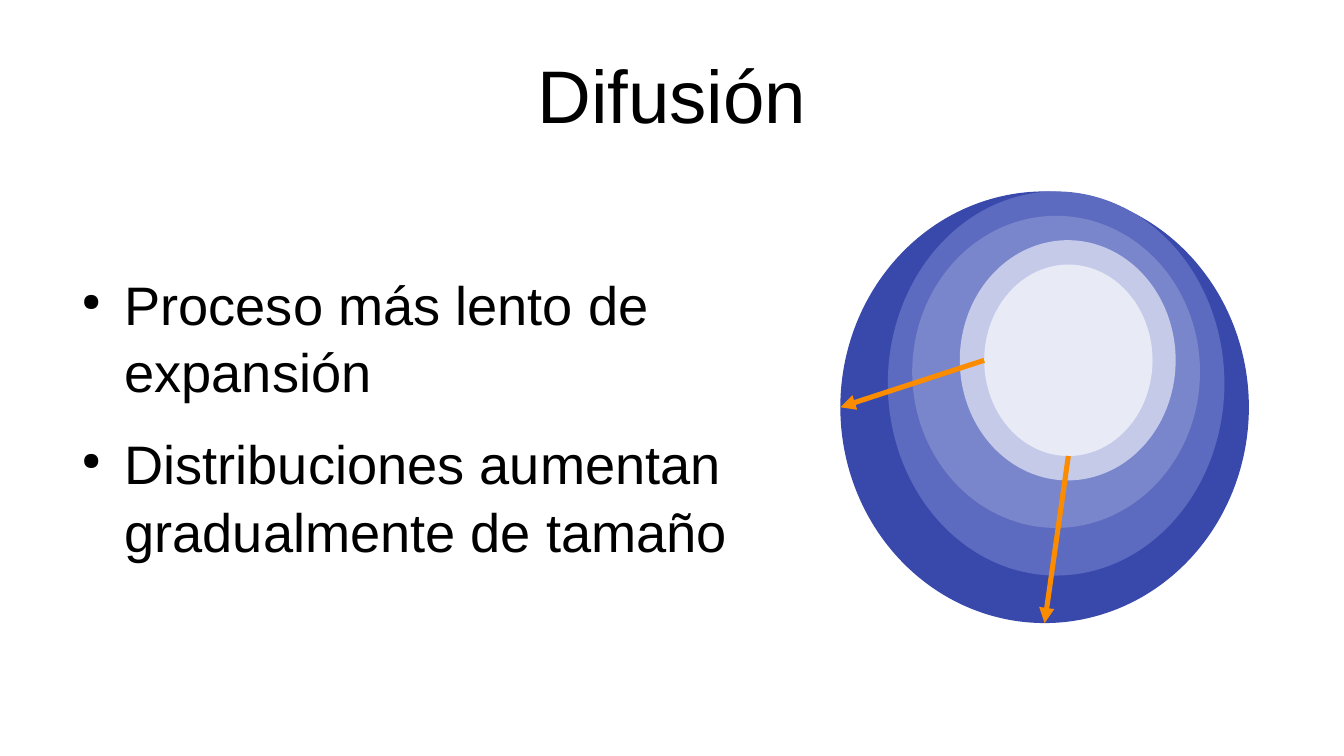
from typing import NamedTuple

from lxml.etree import SubElement
from pptx import Presentation
from pptx.dml.color import RGBColor
from pptx.enum.shapes import MSO_CONNECTOR, MSO_SHAPE
from pptx.enum.text import MSO_ANCHOR, PP_ALIGN
from pptx.oxml.ns import qn
from pptx.util import Inches, Pt

FONT = "Arial"
BLACK = RGBColor(0x00, 0x00, 0x00)
ORANGE = RGBColor(0xFB, 0x8C, 0x00)
INDIGO_600 = RGBColor(0x39, 0x49, 0xAB)
INDIGO_400 = RGBColor(0x5C, 0x6B, 0xC0)
INDIGO_300 = RGBColor(0x79, 0x86, 0xCB)
INDIGO_100 = RGBColor(0xC5, 0xCA, 0xE9)
INDIGO_50 = RGBColor(0xE8, 0xEA, 0xF6)


class Ring(NamedTuple):
    left: float
    top: float
    width: float
    height: float
    color: RGBColor


class Arrow(NamedTuple):
    x1: float
    y1: float
    x2: float
    y2: float


BULLETS = [
    "Proceso más lento de expansión",
    "Distribuciones aumentan gradualmente de tamaño",
]
RINGS = [
    Ring(6.89, 1.57, 3.35, 3.54, INDIGO_600),
    Ring(7.28, 1.57, 2.76, 3.15, INDIGO_400),
    Ring(7.48, 1.77, 2.36, 2.56, INDIGO_300),
    Ring(7.87, 1.97, 1.77, 1.97, INDIGO_100),
    Ring(8.07, 2.17, 1.38, 1.57, INDIGO_50),
]


def left_point(ring: Ring) -> tuple[float, float]:
    return ring.left, ring.top + ring.height / 2


def bottom_point(ring: Ring) -> tuple[float, float]:
    return ring.left + ring.width / 2, ring.top + ring.height


def clear_margins(tf) -> None:
    tf.margin_left = tf.margin_right = tf.margin_top = tf.margin_bottom = 0
    tf.word_wrap = True


def format_runs(p, size: float) -> None:
    for r in p.runs:
        r.font.name = FONT
        r.font.size = Pt(size)
        r.font.color.rgb = BLACK


def add_title(slide, text: str) -> None:
    sp = slide.shapes.title
    sp.left, sp.top = Inches(0.55), Inches(0.25)
    sp.width, sp.height = Inches(9.92), Inches(1.04)
    tf = sp.text_frame
    clear_margins(tf)
    tf.vertical_anchor = MSO_ANCHOR.MIDDLE
    tf.text = text
    p = tf.paragraphs[0]
    p.alignment = PP_ALIGN.CENTER
    format_runs(p, 44)


def add_bullets(slide, items: list[str]) -> None:
    sp = slide.shapes.add_textbox(Inches(0.55), Inches(2.2), Inches(5.55), Inches(2.85))
    tf = sp.text_frame
    clear_margins(tf)
    for i, item in enumerate(items):
        p = tf.add_paragraph() if i else tf.paragraphs[0]
        p.text = item
        p.line_spacing = 1.04
        if i:
            p.space_before = Pt(14.2)
        p_pr = p._p.get_or_add_pPr()
        p_pr.set("marL", str(Inches(0.47)))
        p_pr.set("indent", str(Inches(-0.35)))
        SubElement(p_pr, qn("a:buSzPct")).set("val", "45000")
        SubElement(p_pr, qn("a:buChar")).set("char", "●")
        format_runs(p, 32)


def add_ring(slide, ring: Ring) -> None:
    sp = slide.shapes.add_shape(
        MSO_SHAPE.OVAL,
        Inches(ring.left), Inches(ring.top), Inches(ring.width), Inches(ring.height),
    )
    sp.shadow.inherit = False
    sp.fill.solid()
    sp.fill.fore_color.rgb = ring.color
    sp.line.fill.background()


def add_arrow(slide, arrow: Arrow) -> None:
    cxn = slide.shapes.add_connector(
        MSO_CONNECTOR.STRAIGHT,
        Inches(arrow.x1), Inches(arrow.y1), Inches(arrow.x2), Inches(arrow.y2),
    )
    cxn.line.color.rgb = ORANGE
    cxn.line.width = Pt(3)
    SubElement(cxn.line._get_or_add_ln(), qn("a:tailEnd")).set("type", "triangle")
    SubElement(cxn._element.spPr, qn("a:effectLst"))


def main() -> None:
    prs = Presentation()
    prs.slide_width, prs.slide_height = Inches(11.02), Inches(6.2)
    slide = prs.slides.add_slide(prs.slide_layouts[5])

    # Title and bullet points
    add_title(slide, "Difusión")
    add_bullets(slide, BULLETS)

    # Nested distributions, largest first
    for ring in RINGS:
        add_ring(slide, ring)

    # Growth from the innermost ring to the outermost
    outer, inner = RINGS[0], RINGS[-1]
    for edge in (left_point, bottom_point):
        add_arrow(slide, Arrow(*edge(inner), *edge(outer)))

    prs.save("out.pptx")


if __name__ == "__main__":
    main()
